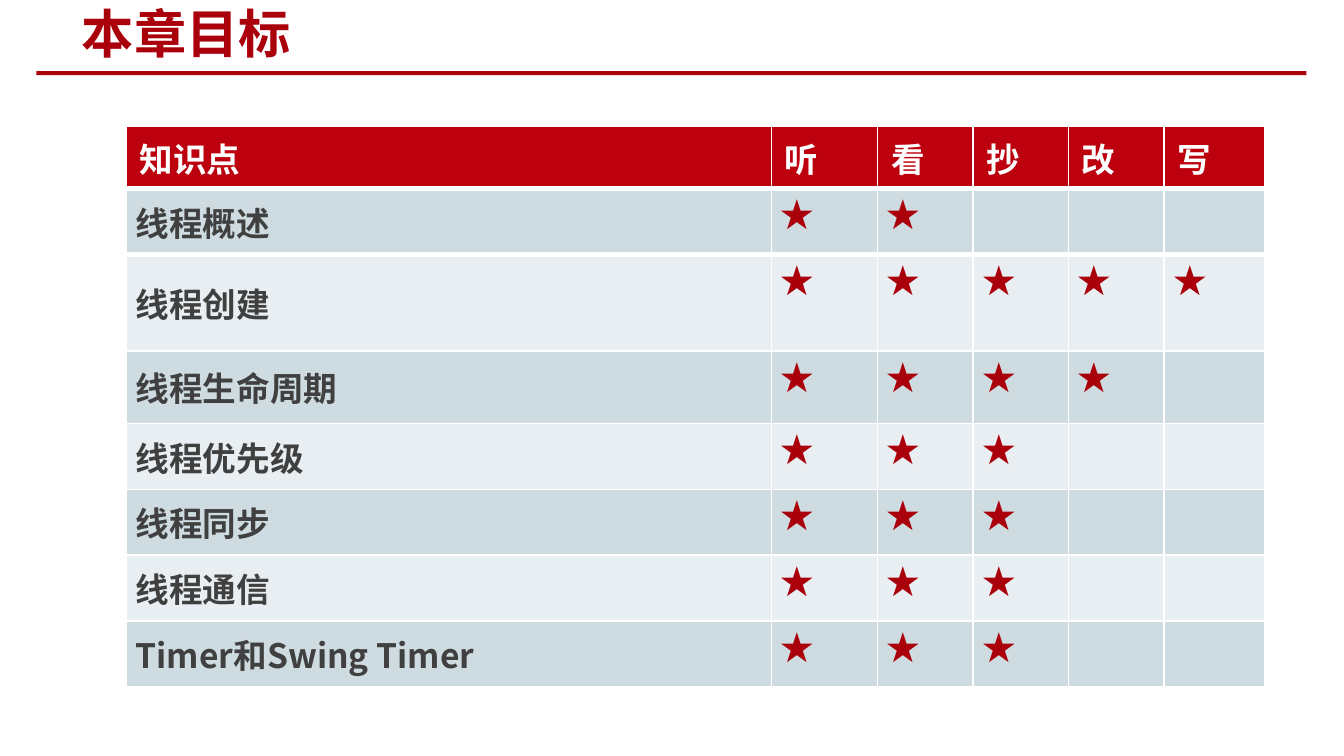
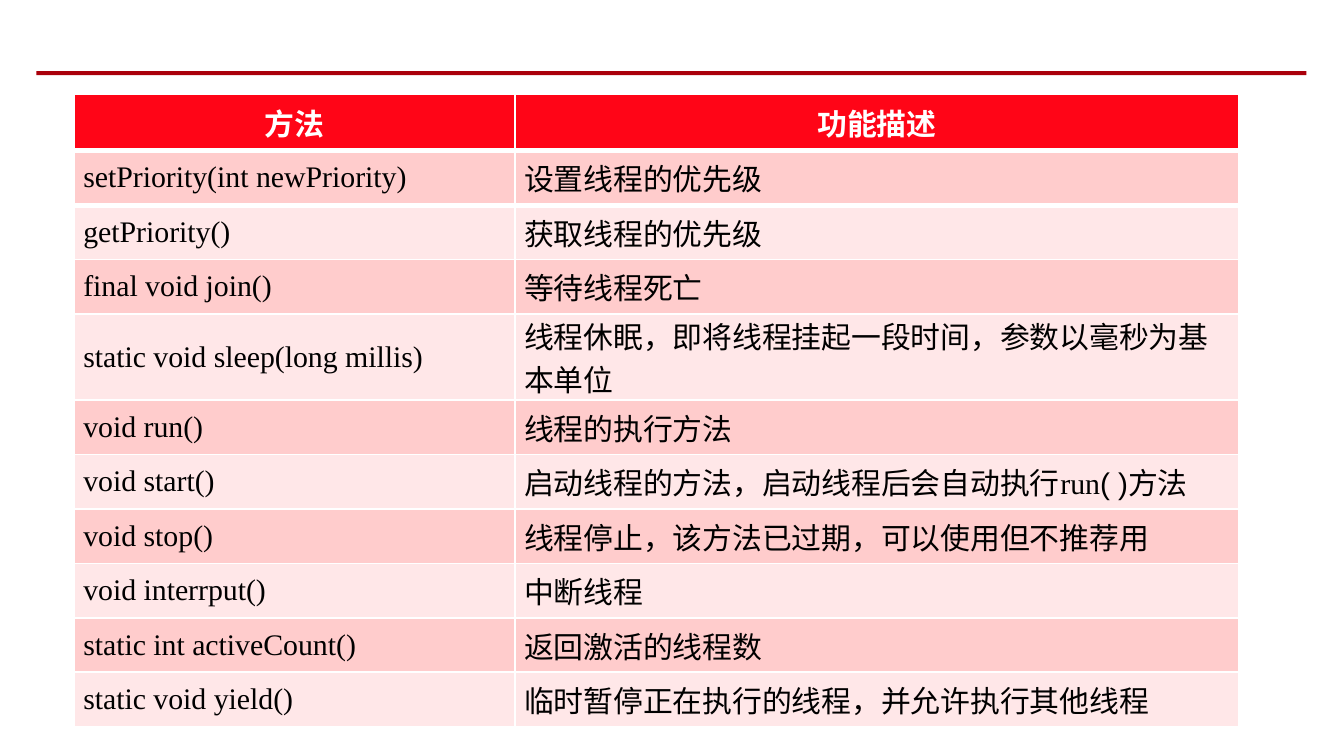
from dataclasses import dataclass

from lxml.etree import Element, SubElement
from pptx import Presentation
from pptx.dml.color import RGBColor
from pptx.enum.shapes import MSO_SHAPE as Preset
from pptx.enum.text import MSO_ANCHOR as Anchor, PP_ALIGN as Align
from pptx.oxml.ns import qn
from pptx.util import Inches, Pt

GOALS_TITLE = "本章目标"
GOAL_HEADERS = ["知识点", "听", "看", "抄", "改", "写"]
GOALS = [
    ("线程概述", 2),
    ("线程创建", 5),
    ("线程生命周期", 4),
    ("线程优先级", 3),
    ("线程同步", 3),
    ("线程通信", 3),
    ("Timer和Swing Timer", 3),
]
GOAL_COLUMNS = [4.8, 0.79, 0.71, 0.71, 0.71, 0.75]
GOAL_ROWS = [0.46, 0.49, 0.72, 0.54, 0.49, 0.49, 0.49, 0.49]

METHOD_HEADERS = ["方法", "功能描述"]
METHODS = [
    ("setPriority(int newPriority)", "设置线程的优先级"),
    ("getPriority()", "获取线程的优先级"),
    ("final void join()", "等待线程死亡"),
    ("static void sleep(long millis)", "线程休眠，即将线程挂起一段时间，参数以毫秒为基本单位"),
    ("void run()", "线程的执行方法"),
    ("void start()", ("启动线程的方法，启动线程后会自动执行", "run", "( )方法")),
    ("void stop()", "线程停止，该方法已过期，可以使用但不推荐用"),
    ("void interrput()", "中断线程"),
    ("static int activeCount()", "返回激活的线程数"),
    ("static void yield()", "临时暂停正在执行的线程，并允许执行其他线程"),
]
METHOD_COLUMNS = [3.28, 5.39]
METHOD_TABLE_HEIGHT = 4.46


@dataclass(frozen=True)
class Theme:
    accent: str = "AA000B"
    white: str = "FFFFFF"
    black: str = "000000"
    grey: str = "404040"
    goal_fills: tuple = ("BC000D", "CEDCE1", "E8EEF1")
    method_fills: tuple = ("FF0517", "FFCCCC", "FFE7E8")
    chinese: str = "Noto Sans CJK SC"
    header: str = "Calibri"
    code: str = "Times New Roman"
    prose: str = "Arial"
    title_size: int = 28
    goal_size: int = 18
    method_size: int = 16
    header_border: int = 3


THEME = Theme()


def color(value):
    return RGBColor.from_string(value)


def style_font(font, name, size, ink, bold):
    font.size, font.bold = Pt(size), bold
    font.color.rgb = color(ink)
    font.name = name
    SubElement(font._rPr, qn("a:ea")).set("typeface", THEME.chinese)


def write_cell(cell, text, name, size, ink, bold, align=Align.LEFT):
    paragraph = cell.text_frame.paragraphs[0]
    paragraph.alignment = align
    style_font(paragraph.font, name, size, ink, bold)
    if isinstance(text, str):
        paragraph.add_run().text = text
        return
    for position, part in enumerate(text):
        run = paragraph.add_run()
        run.text = part
        style_font(run.font, THEME.code if position % 2 else name, size, ink, bold)


def set_border(cell, side):
    border = Element(qn(f"a:{side}"), w=str(Pt(THEME.header_border)))
    fill = SubElement(border, qn("a:solidFill"))
    SubElement(fill, qn("a:srgbClr")).set("val", THEME.white)
    cell._tc.get_or_add_tcPr().insert(0, border)


def add_grid(slide, left, top, columns, rows, fills):
    table = slide.shapes.add_table(
        len(rows), len(columns), Inches(left), Inches(top),
        Inches(sum(columns)), Inches(sum(rows))).table
    table.horz_banding = False
    for column, width in zip(table.columns, columns):
        column.width = Inches(width)
    for index, (row, height) in enumerate(zip(table.rows, rows)):
        row.height = Inches(height)
        fill = fills[0] if index == 0 else fills[2 - index % 2]
        for cell in row.cells:
            cell.fill.solid()
            cell.fill.fore_color.rgb = color(fill)
            if index:
                cell.margin_left = cell.margin_right = Inches(0.07)
                cell.margin_top = cell.margin_bottom = 0
            if index < 2:
                set_border(cell, ("lnB", "lnT")[index])
    return table


def add_master_rule(presentation, slide):
    rule = slide.shapes.add_shape(
        Preset.RECTANGLE, Inches(0.27), Inches(0.53), Inches(9.45), Inches(0.03))
    rule.shadow.inherit = False
    rule.fill.solid()
    rule.fill.fore_color.rgb = color(THEME.accent)
    rule.line.fill.background()
    presentation.slide_master.shapes.element.append(rule.element)


def set_title(slide, text):
    title = slide.shapes.title
    title.left, title.top = Inches(0.51), Inches(0.02)
    title.width, title.height = Inches(5.3), Inches(0.45)
    title.text_frame.text = text
    title.text_frame.vertical_anchor = Anchor.MIDDLE
    paragraph = title.text_frame.paragraphs[0]
    paragraph.alignment = Align.LEFT
    style_font(paragraph.font, THEME.chinese, THEME.title_size, THEME.accent, True)


def build_goals(slide):
    set_title(slide, GOALS_TITLE)
    table = add_grid(slide, 0.94, 0.94, GOAL_COLUMNS, GOAL_ROWS, THEME.goal_fills)
    for column, text in enumerate(GOAL_HEADERS):
        write_cell(table.cell(0, column), text, THEME.chinese,
                   THEME.goal_size, THEME.white, True)
    for row, (topic, stars) in enumerate(GOALS, 1):
        topic_cell = table.cell(row, 0)
        topic_cell.vertical_anchor = Anchor.MIDDLE
        write_cell(topic_cell, topic, THEME.chinese, THEME.goal_size, THEME.grey, True)
        for column in range(1, stars + 1):
            write_cell(table.cell(row, column), "★", THEME.chinese,
                       THEME.goal_size, THEME.accent, True)


def build_methods(slide):
    row_count = len(METHODS) + 1
    rows = [METHOD_TABLE_HEIGHT / row_count] * row_count
    table = add_grid(slide, 0.55, 0.7, METHOD_COLUMNS, rows, THEME.method_fills)
    for column, text in enumerate(METHOD_HEADERS):
        write_cell(table.cell(0, column), text, THEME.header,
                   THEME.method_size, THEME.white, True, Align.CENTER)
    for row, texts in enumerate(METHODS, 1):
        for column, (text, name) in enumerate(zip(texts, (THEME.code, THEME.prose))):
            cell = table.cell(row, column)
            cell.vertical_anchor = Anchor.MIDDLE
            write_cell(cell, text, name, THEME.method_size, THEME.black, False)


presentation = Presentation()
presentation.slide_width = Inches(10)
presentation.slide_height = presentation.slide_width * 9 // 16
title_only, blank = presentation.slide_layouts[5], presentation.slide_layouts[6]

goals_slide = presentation.slides.add_slide(title_only)
add_master_rule(presentation, goals_slide)
build_goals(goals_slide)
build_methods(presentation.slides.add_slide(blank))

presentation.save("out.pptx")
